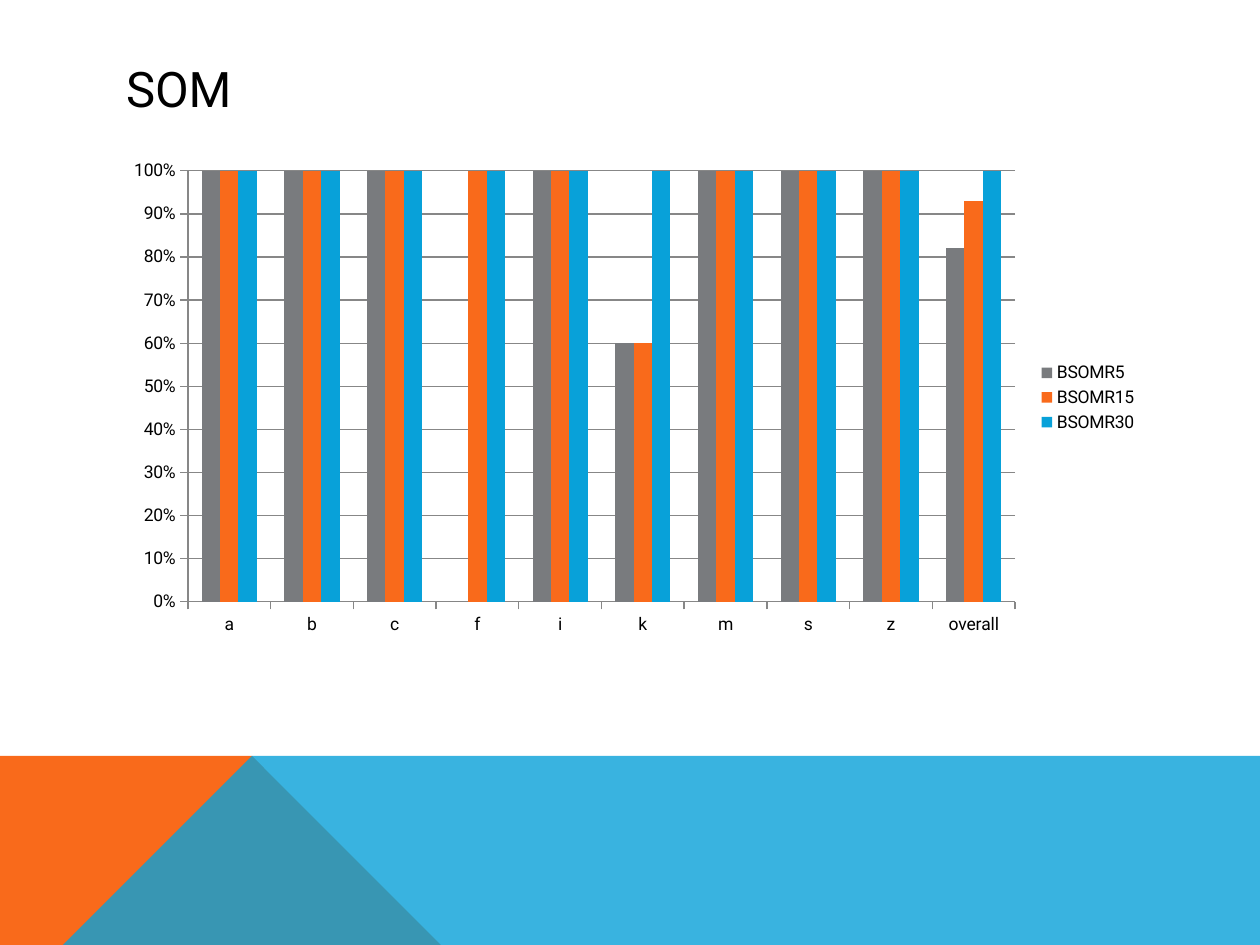
from lxml.etree import SubElement
from pptx import Presentation
from pptx.chart.data import CategoryChartData
from pptx.dml.color import RGBColor
from pptx.enum.chart import XL_CHART_TYPE, XL_LEGEND_POSITION, XL_TICK_MARK
from pptx.enum.text import MSO_ANCHOR, PP_ALIGN
from pptx.oxml.ns import qn
from pptx.util import Inches, Pt

COLORS = {"text": "000000", "grid": "878787", "gray": "797B7E",
          "orange": "F96A1B", "blue": "08A1D9"}
FONT = "Roboto"
CATEGORIES = ["a", "b", "c", "f", "i", "k", "m", "s", "z", "overall"]
SERIES = {
    "BSOMR5": ("gray", [1, 1, 1, 0, 1, 0.6, 1, 1, 1, 0.82]),
    "BSOMR15": ("orange", [1, 1, 1, 1, 1, 0.6, 1, 1, 1, 0.93]),
    "BSOMR30": ("blue", [1] * len(CATEGORIES)),
}


def color(name):
    """Return the named palette colour."""
    return RGBColor.from_string(COLORS[name])


def set_attributes(target, values):
    """Set each attribute of target from a dict of format values."""
    for name, value in values.items():
        setattr(target, name, value)


def format_font(font, size):
    """Apply the slide's typeface and text colour at a point size."""
    set_attributes(font, {"name": FONT, "size": Pt(size), "bold": False})
    font.color.rgb = color("text")


def add_polygon(slide, points, fill, opacity=100):
    """Draw a filled polygon from points in inches."""
    builder = slide.shapes.build_freeform(*points[0], scale=Inches(1))
    builder.add_line_segments(points[1:], close=True)
    shape = builder.convert_to_shape()
    shape.shadow.inherit = False
    shape.line.fill.background()
    shape.fill.solid()
    shape.fill.fore_color.rgb = color(fill)
    if opacity < 100:
        fill_color = shape._element.spPr.find(f"{qn('a:solidFill')}/{qn('a:srgbClr')}")
        SubElement(fill_color, qn("a:alpha"), val=str(opacity * 1000))


def add_footer_band(slide, left, top, width, height):
    """Draw the orange wedge and the translucent blue band over it."""
    right, bottom, peak = left + width, top + height, left + 2.23
    add_polygon(slide, [(left, bottom), (left, top), (peak, top),
                        (left + 3.91, bottom)], "orange")
    add_polygon(slide, [(left, bottom), (peak, top), (right, top),
                        (right, bottom)], "blue", opacity=80)


def add_title(slide, text, left, top, width, height):
    """Place and format the title placeholder."""
    title = slide.shapes.title
    set_attributes(title, {"left": Inches(left), "top": Inches(top),
                           "width": Inches(width), "height": Inches(height)})
    title.text_frame.text = text
    title.text_frame.vertical_anchor = MSO_ANCHOR.MIDDLE
    paragraph = title.text_frame.paragraphs[0]
    paragraph.alignment = PP_ALIGN.LEFT
    format_font(paragraph.runs[0].font, 28)


def add_recognition_chart(slide, left, top, width, height):
    """Add the clustered columns of rates by letter."""
    data = CategoryChartData(number_format="0%")
    data.categories = CATEGORIES
    for name, (_, values) in SERIES.items():
        data.add_series(name, values)
    chart = slide.shapes.add_chart(
        XL_CHART_TYPE.COLUMN_CLUSTERED, Inches(left), Inches(top),
        Inches(width), Inches(height), data).chart
    format_font(chart.font, 10)
    set_attributes(chart, {"has_title": False, "has_legend": True})
    set_attributes(chart.legend, {"position": XL_LEGEND_POSITION.RIGHT,
                                  "include_in_layout": False})
    plot = chart.plots[0]
    set_attributes(plot, {"gap_width": 150, "overlap": 0, "vary_by_categories": False})
    for series, (fill, _) in zip(plot.series, SERIES.values()):
        series.invert_if_negative = False
        series.format.fill.solid()
        series.format.fill.fore_color.rgb = color(fill)

    value_axis = chart.value_axis
    set_attributes(value_axis, {"minimum_scale": 0, "maximum_scale": 1,
                                "major_unit": 0.1, "has_major_gridlines": True})
    set_attributes(value_axis.tick_labels, {"number_format": "0%",
                                            "number_format_is_linked": False})
    for axis in (chart.category_axis, value_axis):
        set_attributes(axis, {"major_tick_mark": XL_TICK_MARK.OUTSIDE,
                              "minor_tick_mark": XL_TICK_MARK.NONE})
    for part in (chart.category_axis, value_axis, value_axis.major_gridlines):
        part.format.line.color.rgb = color("grid")
        part.format.line.width = Pt(0.75)


def main():
    """Build and save the presentation."""
    presentation = Presentation()
    set_attributes(presentation, {"slide_width": Inches(10), "slide_height": Inches(7.5)})
    slide = presentation.slides.add_slide(presentation.slide_layouts[5])
    add_footer_band(slide, 0, 5.52, 10, 1.98)
    add_title(slide, "SOM", 0.9, 0.4, 8.22, 0.6)
    add_recognition_chart(slide, 0.9, 1.2, 8.23, 3.91)
    presentation.save("out.pptx")


if __name__ == "__main__":
    main()
